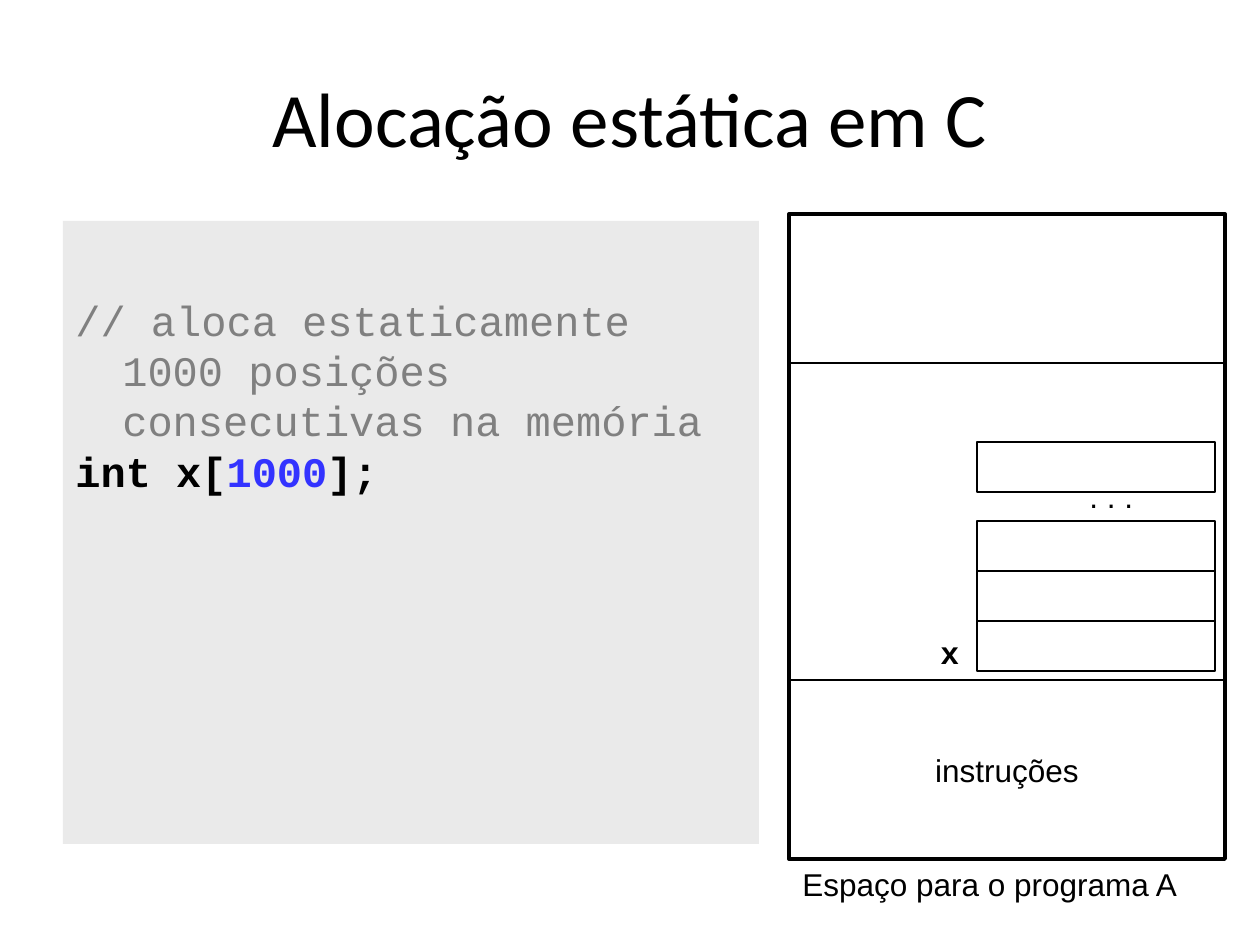
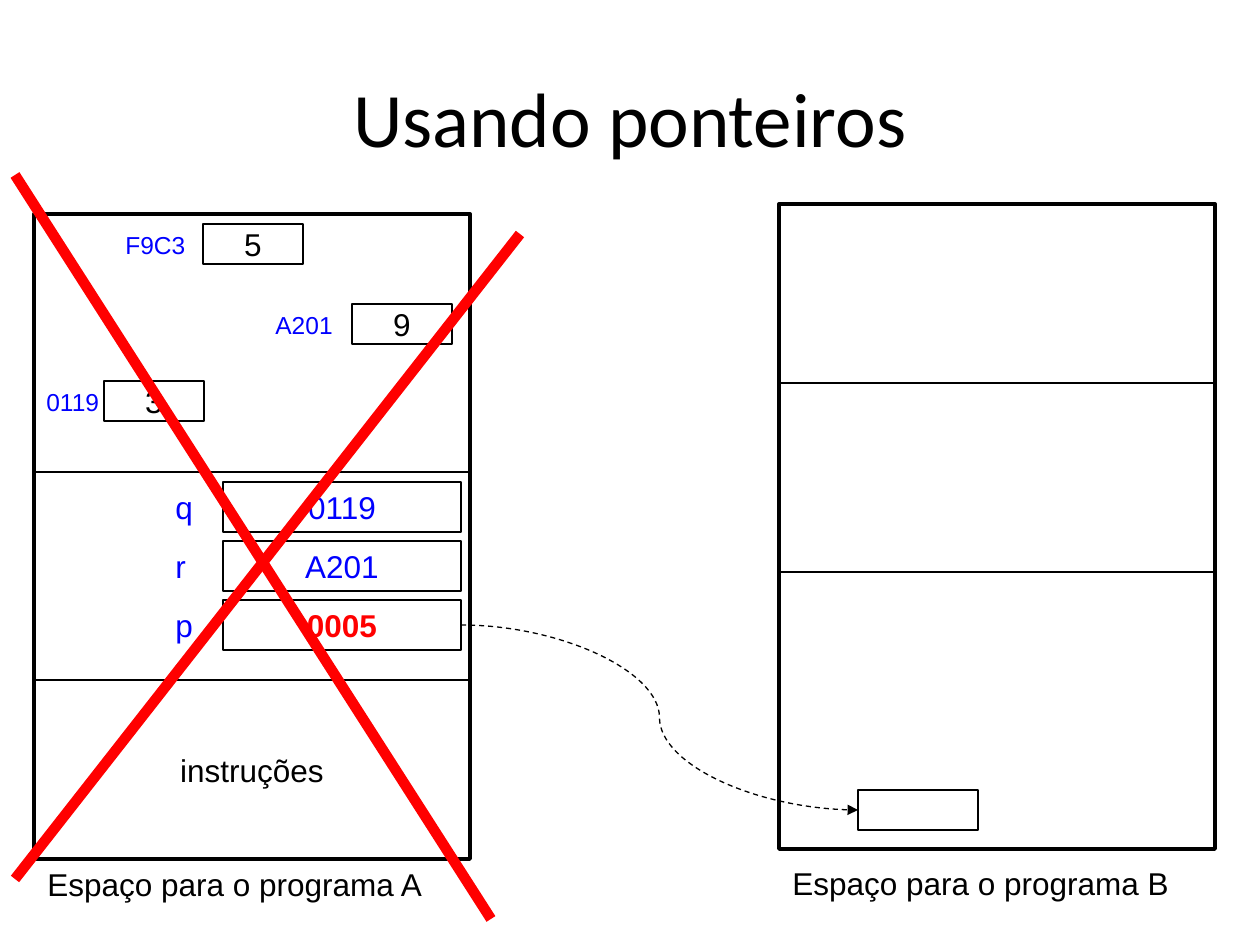
from dataclasses import dataclass

from lxml.etree import SubElement
from pptx import Presentation
from pptx.dml.color import RGBColor
from pptx.enum.dml import MSO_LINE
from pptx.enum.shapes import MSO_CONNECTOR, MSO_SHAPE
from pptx.enum.text import MSO_ANCHOR, PP_ALIGN
from pptx.oxml.ns import qn
from pptx.util import Emu, Pt

PX_PER_INCH = 126
TITLE_ONLY = 5
LEFT_SITE, RIGHT_SITE = 1, 3


@dataclass(frozen=True)
class Theme:
    black: str = "000000"
    address: str = "0000FF"
    alert: str = "FF0000"
    number: str = "3333FF"
    comment: str = "808080"
    code_panel: str = "EAEAEA"
    title_font: str = "Calibri"
    body_font: str = "Arial"
    code_font: str = "Courier New"
    title_size: int = 44
    code_size: int = 24
    body_size: int = 18
    small_size: int = 14
    thin: float = 0.75
    thick: float = 2.25
    cross: float = 6


THEME = Theme()
SPACE_WIDTH, SPACE_HEIGHT = 436, 645
WORD_WIDTH, WORD_HEIGHT = 238, 50
VALUE_WIDTH, VALUE_HEIGHT = 100, 40


def px(length):
    return Emu(round(length * 914400 / PX_PER_INCH))


def box(*lengths):
    return [px(length) for length in lengths]


def format_font(font, color=THEME.black, **values):
    values = {"name": THEME.body_font, "size": THEME.body_size, "bold": False} | values
    values["size"] = Pt(values["size"])
    for attribute, value in values.items():
        setattr(font, attribute, value)
    font.color.rgb = RGBColor.from_string(color)


def format_line(line, width, color=THEME.black):
    line.color.rgb = RGBColor.from_string(color)
    line.width = Pt(width)


def add_title_slide(deck, text):
    slide = deck.slides.add_slide(deck.slide_layouts[TITLE_ONLY])
    title = slide.shapes.title
    title.left, title.top, title.width, title.height = box(63, 38, 1134, 157)
    title.text_frame.text = text
    title.text_frame.vertical_anchor = MSO_ANCHOR.MIDDLE
    paragraph = title.text_frame.paragraphs[0]
    paragraph.alignment = PP_ALIGN.CENTER
    format_font(paragraph.font, name=THEME.title_font, size=THEME.title_size)
    return slide


def add_cell(slide, left, top, width, height, text="", weight=THEME.thin, **font):
    """Outlined, unfilled rectangle with optional centred text."""
    cell = slide.shapes.add_shape(MSO_SHAPE.RECTANGLE, *box(left, top, width, height))
    cell.shadow.inherit = False
    cell.fill.background()
    format_line(cell.line, weight)
    if text:
        frame = cell.text_frame
        frame.text = text
        frame.word_wrap = False
        frame.vertical_anchor = MSO_ANCHOR.MIDDLE
        frame.paragraphs[0].alignment = PP_ALIGN.CENTER
        format_font(frame.paragraphs[0].font, **font)
    return cell


def add_label(slide, left, top, width, text, height=50, **font):
    frame = slide.shapes.add_textbox(*box(left, top, width, height)).text_frame
    frame.text = text
    frame.word_wrap = False
    format_font(frame.paragraphs[0].font, **font)


def add_program_space(slide, left, top, heap_height, code_height, program,
                      code_label="", caption_gap=0):
    """Memory of one program: heap on top, variables between, code at the bottom."""
    bottom = top + SPACE_HEIGHT
    add_cell(slide, left, top, SPACE_WIDTH, SPACE_HEIGHT, weight=THEME.thick)
    add_cell(slide, left, top, SPACE_WIDTH, heap_height)
    add_cell(slide, left, bottom - code_height, SPACE_WIDTH, code_height, code_label)
    add_label(slide, left + 1, bottom + caption_gap, SPACE_WIDTH,
              f"Espaço para o programa {program}")


def add_code_panel(slide, lines):
    """Each line is a list of (text, font values) pieces."""
    panel = slide.shapes.add_shape(MSO_SHAPE.RECTANGLE, *box(63, 221, 696, 623))
    panel.shadow.inherit = False
    panel.fill.solid()
    panel.fill.fore_color.rgb = RGBColor.from_string(THEME.code_panel)
    panel.line.fill.background()
    frame = panel.text_frame
    frame.word_wrap = True
    frame.vertical_anchor = MSO_ANCHOR.TOP
    frame.margin_top = px(73)
    for index, pieces in enumerate(lines):
        paragraph = frame.add_paragraph() if index else frame.paragraphs[0]
        paragraph.alignment = PP_ALIGN.LEFT
        paragraph.line_spacing = Pt(THEME.code_size * 1.2)
        hanging = {"marL": px(47), "indent": -px(47)}
        for attribute, value in hanging.items():
            paragraph._p.get_or_add_pPr().set(attribute, str(value))
        for text, font in pieces:
            run = paragraph.add_run()
            run.text = text
            format_font(run.font, name=THEME.code_font, size=THEME.code_size, **font)


def add_line(slide, start, end, width, color=THEME.black, kind=MSO_CONNECTOR.STRAIGHT):
    line = slide.shapes.add_connector(kind, *box(*start, *end))
    format_line(line.line, width, color)
    SubElement(line._element.spPr, qn("a:effectLst"))
    return line


def add_pointer(slide, source, target):
    """Dashed curved arrow from the right of one cell to the left of another."""
    pointer = add_line(slide, (0, 0), (0, 0), THEME.thin, kind=MSO_CONNECTOR.CURVE)
    pointer.begin_connect(source, RIGHT_SITE)
    pointer.end_connect(target, LEFT_SITE)
    pointer.line.dash_style = MSO_LINE.DASH
    SubElement(pointer.line._get_or_add_ln(), qn("a:tailEnd"), type="triangle")


def build_static_allocation(deck):
    slide = add_title_slide(deck, "Alocação estática em C")
    add_code_panel(slide, [
        [("// aloca estaticamente 1000 posições consecutivas na memória",
          {"color": THEME.comment})],
        [("int x[", {"bold": True}),
         ("1000", {"bold": True, "color": THEME.number}),
         ("];", {"bold": True})],
    ])
    add_program_space(slide, 789, 214, 149, 179, "A", "instruções")
    first_element = 621
    for index in range(3):
        add_cell(slide, 977, first_element - index * WORD_HEIGHT, WORD_WIDTH, WORD_HEIGHT)
    add_cell(slide, 977, 442, WORD_WIDTH, WORD_HEIGHT)
    add_label(slide, 1077, 471, 72, ". . .")
    add_label(slide, 928, 627, 46, "x", name=THEME.code_font, bold=True)


def build_pointers(deck):
    slide = add_title_slide(deck, "Usando ponteiros")
    add_program_space(slide, 34, 214, 258, 179, "A", "instruções")

    dangling = {"color": THEME.alert, "bold": True}
    variables = [("q", "0119", {"color": THEME.address}),
                 ("r", "A201", {"color": THEME.address}),
                 ("p", "0005", dangling)]
    for row, (name, address, font) in enumerate(variables):
        top = 482 + row * 59
        add_label(slide, 163, top, 46, name, color=THEME.address)
        pointer_cell = add_cell(slide, 223, top, WORD_WIDTH, WORD_HEIGHT, address, **font)

    heap_values = [("F9C3", "5", 113, 203, 224),
                   ("A201", "9", 263, 352, 304),
                   ("0119", "3", 34, 104, 381)]
    for address, value, address_left, value_left, top in heap_values:
        add_cell(slide, value_left, top, VALUE_WIDTH, VALUE_HEIGHT, value)
        add_label(slide, address_left, top, 90, address, height=42,
                  size=THEME.small_size, color=THEME.address)

    add_program_space(slide, 779, 204, 179, 277, "B", caption_gap=9)
    foreign_cell = add_cell(slide, 858, 790, 120, VALUE_HEIGHT)
    add_pointer(slide, pointer_cell, foreign_cell)
    for start, end in [((15, 175), (491, 919)), ((520, 234), (15, 879))]:
        add_line(slide, start, end, THEME.cross, THEME.alert)


def main():
    deck = Presentation()
    deck.slide_width, deck.slide_height = box(1260, 945)
    build_static_allocation(deck)
    build_pointers(deck)
    deck.save("out.pptx")


if __name__ == "__main__":
    main()
